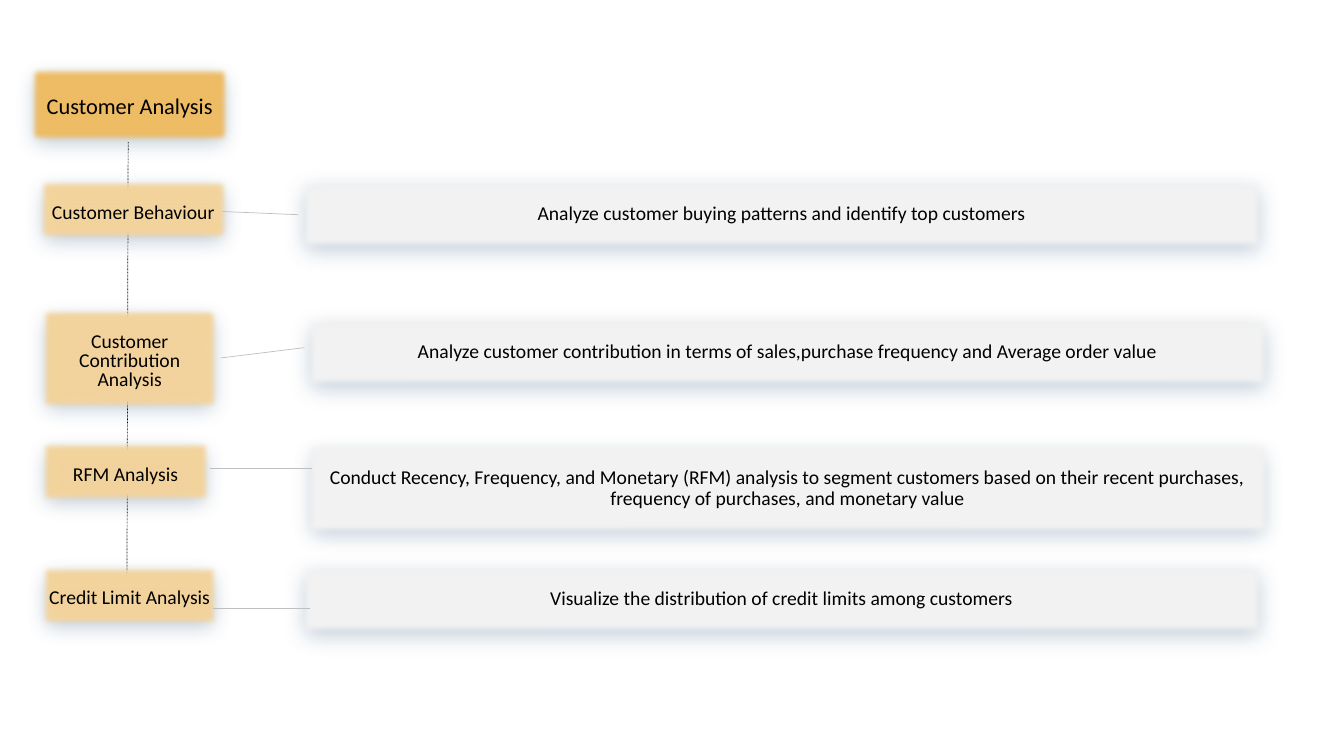
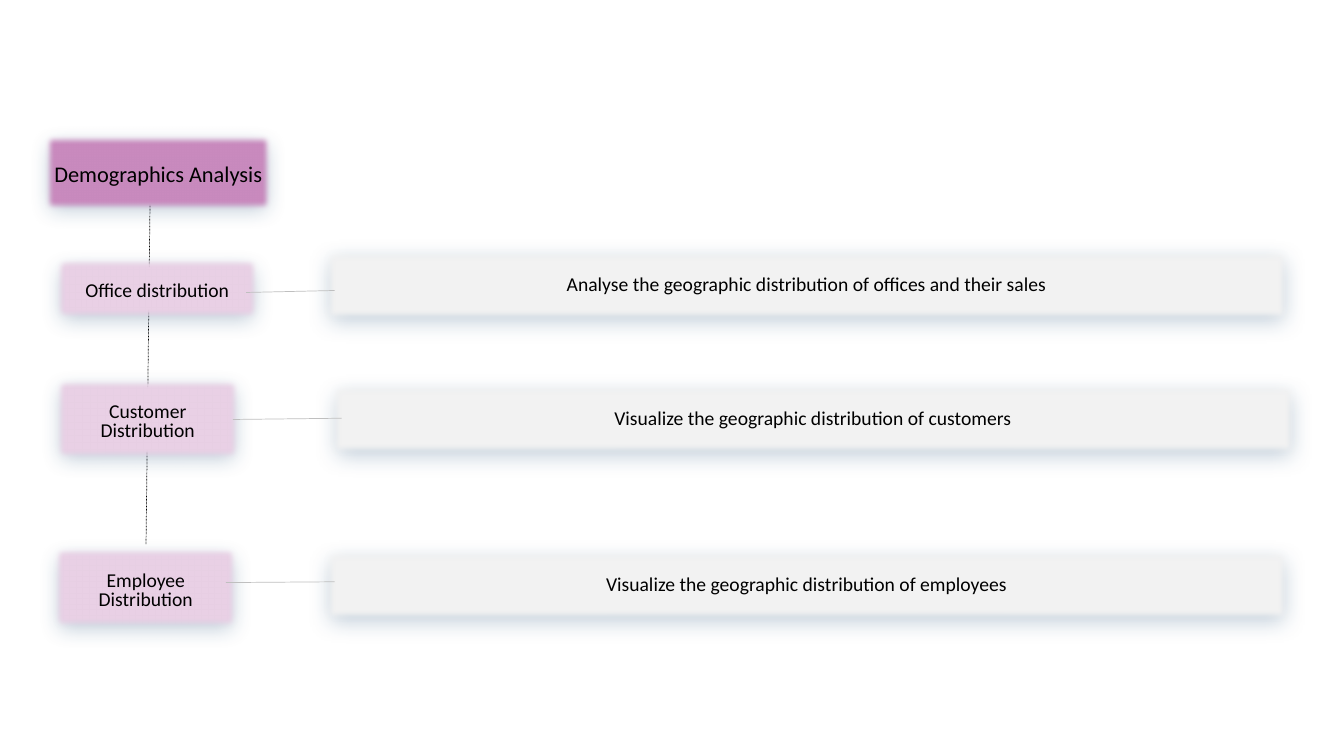
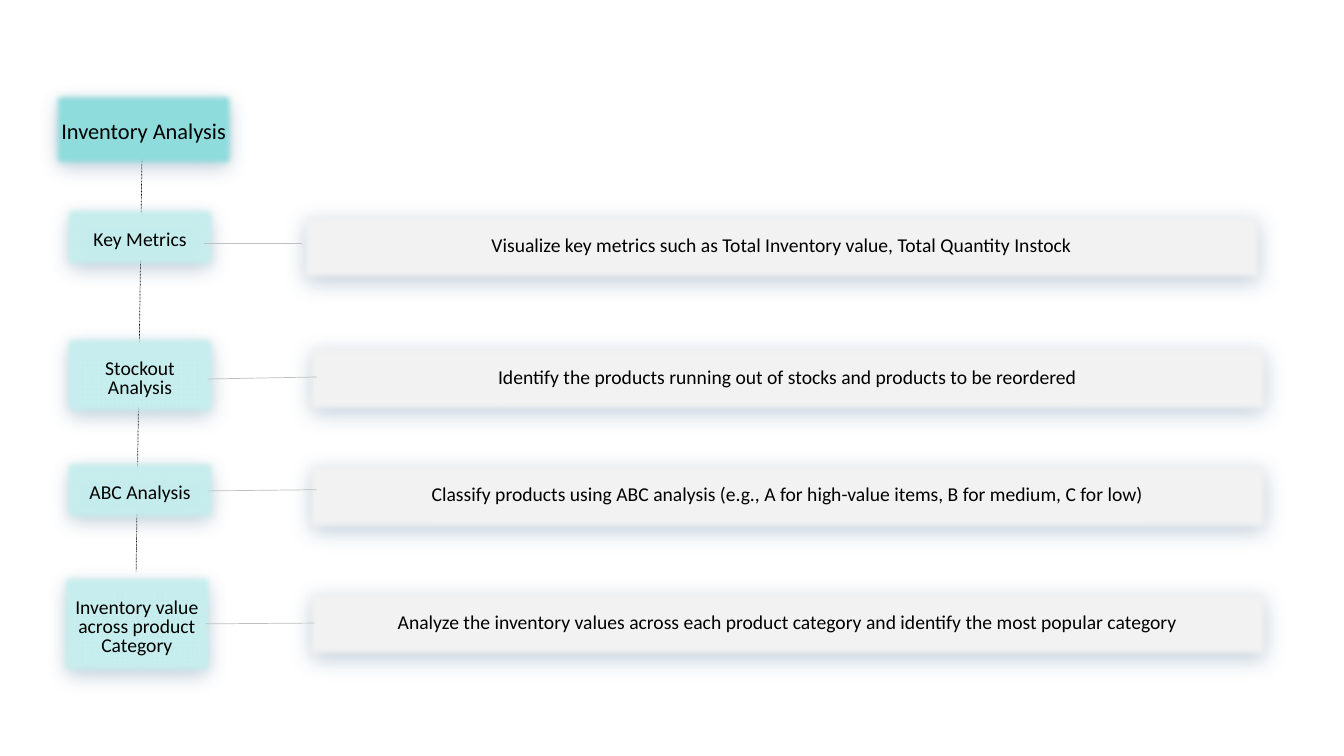
from dataclasses import dataclass

from lxml.etree import SubElement
from pptx import Presentation
from pptx.dml.color import RGBColor
from pptx.enum.dml import MSO_LINE
from pptx.enum.shapes import MSO_CONNECTOR, MSO_SHAPE
from pptx.enum.text import MSO_ANCHOR, PP_ALIGN
from pptx.oxml import parse_xml
from pptx.oxml.ns import qn
from pptx.util import Cm, Pt


@dataclass(frozen=True)
class Theme:
    font: str = "Calibri"
    heading_size: int = 16
    body_size: int = 14
    text: str = "000000"
    outline: str = "43739E"
    detail_fill: str = "F2F2F2"
    spine: str = "000000"
    link: str = "BFBFBF"
    detail_width: float = 24.36
    detail_height: float = 1.86


theme = Theme()

# Soft edge and blue glow below every box
BOX_EFFECTS = """
<a:effectLst xmlns:a="http://schemas.openxmlformats.org/drawingml/2006/main">
  <a:outerShdw blurRad="190500" dist="50800" dir="5400000" algn="ctr" rotWithShape="0">
    <a:srgbClr val="1F4E79"><a:alpha val="39000"/></a:srgbClr>
  </a:outerShdw>
  <a:softEdge rad="63500"/>
</a:effectLst>"""


def add_box(slide, text, *, area, fill, size=theme.body_size, spacing=0.8, drop=0.18):
    """Draw a soft box; drop lowers its centred text by half that length."""
    box = slide.shapes.add_shape(MSO_SHAPE.RECTANGLE, *map(Cm, area))
    box.fill.solid()
    box.fill.fore_color.rgb = RGBColor.from_string(fill)
    box.line.color.rgb = RGBColor.from_string(theme.outline)
    box.line.width = Pt(1)
    box.shadow.inherit = False
    properties = box.fill._xPr
    properties.replace(properties.find(qn("a:effectLst")), parse_xml(BOX_EFFECTS))

    frame = box.text_frame
    frame.word_wrap = True
    frame.vertical_anchor = MSO_ANCHOR.MIDDLE
    frame.margin_left = frame.margin_right = Cm(0.25)
    frame.margin_top, frame.margin_bottom = Cm(0.13 + drop), Cm(0.13)
    paragraph = frame.paragraphs[0]
    paragraph.alignment = PP_ALIGN.CENTER
    paragraph.line_spacing = spacing
    run = paragraph.add_run()
    run.text = text
    run.font.name = theme.font
    run.font.size = Pt(size)
    run.font.color.rgb = RGBColor.from_string(theme.text)


def add_line(slide, ends, color, dash=None):
    line = slide.shapes.add_connector(MSO_CONNECTOR.STRAIGHT, *map(Cm, ends))
    line.line.color.rgb = RGBColor.from_string(color)
    line.line.width = Pt(0.5)
    if dash:
        line.line.dash_style = dash
    SubElement(line._element.spPr, qn("a:effectLst"))


# Areas are left, top, width, height; line ends are x1, y1, x2, y2; all in cm.
# Each branch: label, its area, detail, its left and top, link between the two.
analyses = [
    dict(
        heading="Customer Analysis", heading_area=(0.69, 1.63, 5.16, 2.03),
        heading_fill="EEBC65", label_fill="F4D49D", spine=(3.23, 3.58, 3.2, 14.5),
        branches=[
            ("Customer Behaviour", (0.91, 4.45, 4.9, 1.68),
             "Analyze customer buying patterns and identify top customers",
             (7.52, 4.47), (5.61, 5.33, 7.52, 5.41)),
            ("Customer Contribution Analysis", (0.97, 7.7, 4.6, 2.67),
             "Analyze customer contribution in terms of sales,purchase frequency "
             "and Average order value",
             (7.67, 7.95), (5.56, 9.02, 7.67, 8.76)),
            ("RFM Analysis", (0.97, 11.05, 4.39, 1.68),
             "Conduct Recency, Frequency, and Monetary (RFM) analysis to segment "
             "customers based on their recent purchases, frequency of purchases, "
             "and monetary value",
             (7.67, 11.1), (5.28, 11.81, 7.87, 11.81)),
            ("Credit Limit Analysis", (0.97, 14.17, 4.6, 1.68),
             "Visualize the distribution of credit limits among customers",
             (7.52, 14.17), (5.36, 15.34, 7.82, 15.34)),
        ],
    ),
    dict(
        heading="Demographics Analysis", heading_area=(1.07, 3.33, 5.84, 2.03),
        heading_fill="C98ABE", label_fill="E9D0E5", spine=(3.78, 5.16, 3.68, 13.72),
        branches=[
            ("Office distribution", (1.35, 6.43, 5.23, 1.68),
             "Analyse the geographic distribution of offices and their sales",
             (8.15, 6.25), (6.2, 7.37, 8.43, 7.32)),
            ("Customer Distribution", (1.35, 9.47, 4.75, 2.16),
             "Visualize the geographic distribution of customers",
             (8.31, 9.63), (5.87, 10.57, 8.61, 10.54)),
            ("Employee Distribution", (1.3, 13.72, 4.75, 2.18),
             "Visualize the geographic distribution of employees",
             (8.15, 13.82), (5.69, 14.68, 8.43, 14.66)),
        ],
    ),
    dict(
        heading="Inventory Analysis", heading_area=(1.27, 2.24, 4.7, 2.03),
        heading_fill="8FDCDD", label_fill="C7EEEE", spine=(3.58, 3.81, 3.43, 14.4),
        branches=[
            ("Key Metrics", (1.55, 5.13, 3.96, 1.7),
             "Visualize key metrics such as Total Inventory value, "
             "Total Quantity Instock",
             (7.52, 5.28), (5.13, 6.12, 7.62, 6.12)),
            ("Stockout Analysis", (1.55, 8.38, 3.96, 2.16),
             "Identify the products running out of stocks and products to be reordered",
             (7.67, 8.59), (5.23, 9.55, 7.98, 9.5)),
            ("ABC Analysis", (1.55, 11.51, 3.96, 1.68),
             "Classify products using ABC analysis (e.g., A for high-value items, "
             "B for medium, C for low)",
             (7.67, 11.56), (5.23, 12.37, 7.98, 12.34)),
            ("Inventory value across product Category", (1.47, 14.4, 3.96, 2.67),
             "Analyze the inventory values across each product category and "
             "identify the most popular category",
             (7.67, 14.78), (5.18, 15.72, 7.92, 15.7)),
        ],
    ),
]

presentation = Presentation()
presentation.slide_width, presentation.slide_height = Cm(33.87), Cm(19.05)

for analysis in analyses:
    slide = presentation.slides.add_slide(presentation.slide_layouts[6])

    # Dotted spine behind the heading and labels
    add_line(slide, analysis["spine"], theme.spine, MSO_LINE.ROUND_DOT)
    add_box(slide, analysis["heading"], area=analysis["heading_area"],
            fill=analysis["heading_fill"], size=theme.heading_size)

    # One branch per topic: label, detail and link
    for label, label_area, detail, detail_corner, link in analysis["branches"]:
        # A detail that needs a second line gets a taller box
        detail_height = theme.detail_height + (0.55 if len(detail) > 110 else 0)
        add_box(slide, label, area=label_area, fill=analysis["label_fill"])
        add_box(slide, detail, area=(*detail_corner, theme.detail_width, detail_height),
                fill=theme.detail_fill, spacing=0.9, drop=0)
        add_line(slide, link, theme.link)

presentation.save("out.pptx")
